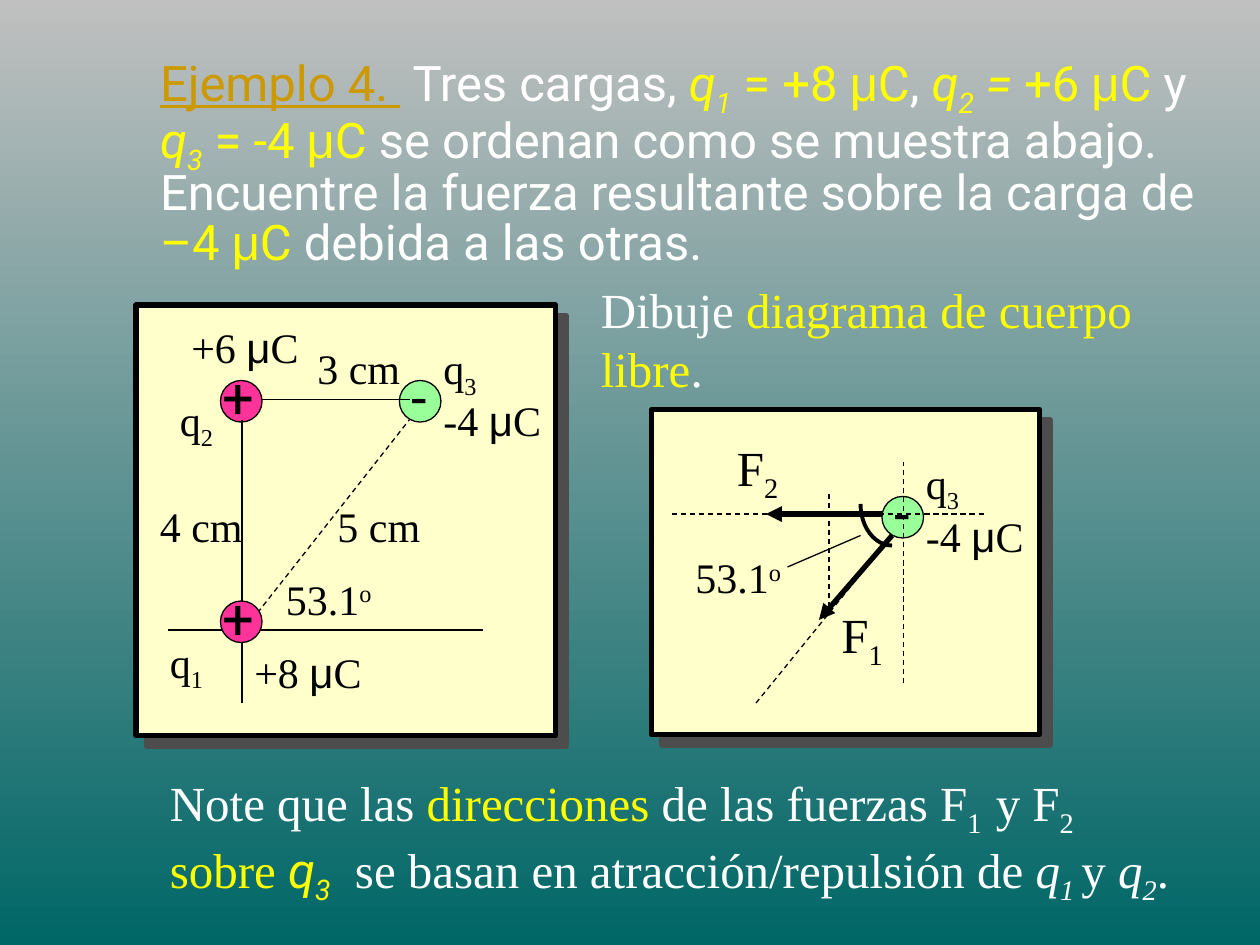
from lxml.etree import SubElement
from pptx import Presentation
from pptx.dml.color import RGBColor
from pptx.enum.dml import MSO_LINE
from pptx.enum.shapes import MSO_CONNECTOR, MSO_SHAPE
from pptx.enum.text import MSO_ANCHOR, MSO_AUTO_SIZE as AutoSize, PP_ALIGN
from pptx.oxml.ns import qn
from pptx.util import Inches, Pt

COLORS = {"white": "FFFFFF", "yellow": "FFFF00", "gold": "CC9900", "black": "000000",
          "cream": "FFFFCC", "pink": "FF3399", "green": "99FF99", "shadow": "4D4D4D",
          "sky": "C0C0C0", "sea": "006666"}
BASELINES = {"sub": "-25000", "sup": "30000"}
SERIF, SANS, GREEK = "Times New Roman", "Roboto", "Arial"
DIAMETER = 0.33


def rgb(name):
    return RGBColor.from_string(COLORS[name])


def add_run(paragraph, text, font_name, size, color, styles):
    run = paragraph.add_run()
    run.text = text
    formats = {"name": font_name, "size": Pt(size)}
    for style in styles:
        if style in COLORS:
            color = style
        elif style in BASELINES:
            run.font._element.set("baseline", BASELINES[style])
        else:
            formats[style] = True
    for attribute, value in formats.items():
        setattr(run.font, attribute, value)
    run.font.color.rgb = rgb(color)


def write_runs(paragraph, runs, font_name, size, color):
    """Each run is (text, style words); the Greek letter gets its own font."""
    for text, words in runs:
        styles = words.split()
        name = SANS if "sans" in styles else font_name
        styles = [style for style in styles if style != "sans"]
        before, mu, after = text.partition("μ")
        for part, part_font in ((before, name), (mu, GREEK), (after, name)):
            if part:
                add_run(paragraph, part, part_font, size, color, styles)


def add_text(shapes, x, y, width, height, runs, size=24, color="black", font_name=SERIF):
    frame = shapes.add_textbox(*map(Inches, (x, y, width, height))).text_frame
    frame.word_wrap = True
    frame.auto_size = AutoSize.SHAPE_TO_FIT_TEXT
    write_runs(frame.paragraphs[0], runs, font_name, size, color)


def add_label(shapes, x, y, text, index="", width=0.92, height=0.5, size=24, position="sub"):
    runs = [(text, "")] + ([(index, position)] if index else [])
    add_text(shapes, x, y, width, height, runs, size)


def add_figure(shapes, kind, x, y, width, height, fill, weight):
    figure = shapes.add_shape(kind, *map(Inches, (x, y, width, height)))
    figure.shadow.inherit = False
    if fill:
        figure.fill.solid()
        figure.fill.fore_color.rgb = rgb(fill)
    else:
        figure.fill.background()
    figure.line.color.rgb = rgb("black")
    figure.line.width = Pt(weight)
    return figure


def add_panel(shapes, x, y, width, height):
    panel = add_figure(shapes, MSO_SHAPE.RECTANGLE, x, y, width, height, "cream", 3)
    effects = panel._element.spPr.find(qn("a:effectLst"))
    shadow = SubElement(effects, qn("a:outerShdw"), dist=str(Pt(8.5)),
                        dir=str(45 * 60000), algn="ctr", rotWithShape="0")
    SubElement(shadow, qn("a:srgbClr"), val=COLORS["shadow"])


def add_charge(shapes, x, y, sign):
    fill, shift = {"+": ("pink", -0.08), "-": ("green", 0)}[sign]
    add_figure(shapes, MSO_SHAPE.OVAL, x, y, DIAMETER, DIAMETER, fill, 0.75)
    add_text(shapes, x + shift, y - 0.19, 0.42, 0.63, [(sign, "")], 32, font_name=SANS)


def add_line(shapes, x1, y1, x2, y2, weight=0.75, dashed=False, arrow=False):
    connector = shapes.add_connector(MSO_CONNECTOR.STRAIGHT, *map(Inches, (x1, y1, x2, y2)))
    connector.line.color.rgb = rgb("black")
    connector.line.width = Pt(weight)
    if dashed:
        connector.line.dash_style = MSO_LINE.DASH
    if arrow:
        SubElement(connector.line._get_or_add_ln(), qn("a:tailEnd"), type="triangle")
    SubElement(connector._element.spPr, qn("a:effectLst"))


def paint_background(slide):
    fill = slide.background.fill
    fill.gradient()
    fill.gradient_angle = 270
    for stop, position, color in zip(fill.gradient_stops, (0, 1), ("sky", "sea")):
        stop.position = position
        stop.color.rgb = rgb(color)


def write_title(title):
    box = {"left": 1.17, "top": 0.67, "width": 8.5, "height": 1.25}
    for attribute, value in box.items():
        setattr(title, attribute, Inches(value))
    frame = title.text_frame
    frame.word_wrap = True
    frame.auto_size = AutoSize.NONE
    frame.vertical_anchor = MSO_ANCHOR.MIDDLE
    statement = frame.paragraphs[0]
    statement.alignment = PP_ALIGN.LEFT
    statement.line_spacing = 0.85
    write_runs(statement, [
        ("Ejemplo 4. ", "gold underline"), (" ", "gold"), ("Tres cargas, ", ""),
        ("q", "yellow italic"), ("1", "yellow italic sub"), (" = +8 μC", "yellow"), (", ", ""),
        ("q", "yellow italic"), ("2", "yellow italic sub"), (" = ", "yellow italic"),
        ("+6 μC", "yellow"), (" y ", ""),
        ("q", "yellow italic"), ("3", "yellow italic sub"), (" = -4 μC", "yellow"),
        (" se ordenan como se muestra abajo. Encuentre la fuerza resultante"
         " sobre la carga de ", ""),
        ("–4 μC", "yellow"), (" debida a las otras.", ""),
    ], SANS, 28, "white")


def draw_free_body(shapes):
    add_panel(shapes, 5.17, 3.25, 3.08, 2.58)
    add_charge(shapes, 7, 3.94, "-")
    # Axes and line of action
    for ends in ((7.17, 5.42, 7.17, 3.67), (5.33, 4.08, 7.83, 4.08), (6, 5.58, 7.08, 4.25)):
        add_line(shapes, *ends, dashed=True)
    add_label(shapes, 5.42, 4.33, "53.1", "o", position="sup")
    add_label(shapes, 7.25, 4, "-4 μC", width=1.25)
    add_label(shapes, 7.25, 3.58, "q", "3", width=0.5)
    # Forces
    for ends in ((7.08, 4.25, 6.5, 4.92), (7, 4.08, 6.08, 4.08)):
        add_line(shapes, *ends, weight=3, arrow=True)
    add_line(shapes, 6.58, 3.92, 6.58, 4.83, dashed=True)
    for x, y, index in ((6.58, 4.75, "1"), (5.75, 3.42, "2")):
        add_label(shapes, x, y, "F", index, 0.67, 0.57, 28)
    # Angle: lower left quarter, 90 to 180 degrees
    angle = add_figure(shapes, MSO_SHAPE.ARC, 6.83, 3.67, 0.5, 0.66, None, 2.25)
    for i, degrees in enumerate((90, 180)):
        angle.adjustments[i] = degrees * 0.6
    add_line(shapes, 6.25, 4.5, 6.83, 4.25)


def draw_charges(shapes):
    add_panel(shapes, 1.08, 2.42, 3.33, 3.42)
    add_charge(shapes, 1.75, 3.02, "+")
    add_charge(shapes, 3.17, 3.02, "-")
    # Axes and sides of the triangle
    for ends in ((1.92, 5.58, 1.92, 3.33), (1.33, 5, 3.83, 5), (2.08, 3.17, 3.25, 3.17)):
        add_line(shapes, *ends)
    add_line(shapes, 2, 4.92, 3.25, 3.33, dashed=True)
    for x, y, distance in ((1.17, 3.92, "4 cm"), (2.42, 2.67, "3 cm"), (2.58, 3.92, "5 cm")):
        add_label(shapes, x, y, distance)
    add_label(shapes, 2.17, 4.5, "53.1", "o", position="sup")
    # Charge values and names
    for x, y, value in ((1.42, 2.5, "+6 μC"), (3.42, 3.08, "-4 μC"), (1.92, 5.08, "+8 μC")):
        add_label(shapes, x, y, value, width=1.25)
    for x, y, index in ((1.25, 5, "1"), (1.33, 3.08, "2"), (3.42, 2.67, "3")):
        add_label(shapes, x, y, "q", index, width=0.5)
    add_charge(shapes, 1.75, 4.77, "+")


def main():
    deck = Presentation()
    deck.slide_width, deck.slide_height = Inches(10), Inches(7.5)
    slide = deck.slides.add_slide(deck.slide_layouts[5])
    paint_background(slide)
    write_title(slide.shapes.title)

    # Instruction and free body diagram
    add_text(slide.shapes, 4.67, 2.17, 4.42, 1.03, [
        ("Dibuje ", ""), ("diagrama de cuerpo libre", "yellow"), (".", "")], 28, "white")
    draw_free_body(slide.shapes.add_group_shape().shapes)

    # Note on the directions
    add_text(slide.shapes, 1.25, 6.08, 8.25, 1.03, [
        ("Note que las ", ""), ("direcciones", "yellow"), (" de las fuerzas F", ""),
        ("1  ", "sub"), ("y F", ""), ("2 ", "sub"), ("sobre ", "yellow"),
        ("q", "yellow italic sans"), ("3", "yellow italic sans sub"),
        ("  se basan en atracción/repulsión de ", ""), ("q", "italic"), ("1 ", "italic sub"),
        ("y ", ""), ("q", "italic"), ("2", "italic sub"), (".", "")], 28, "white")

    # Arrangement of the charges
    draw_charges(slide.shapes.add_group_shape().shapes)
    deck.save("out.pptx")


if __name__ == "__main__":
    main()
